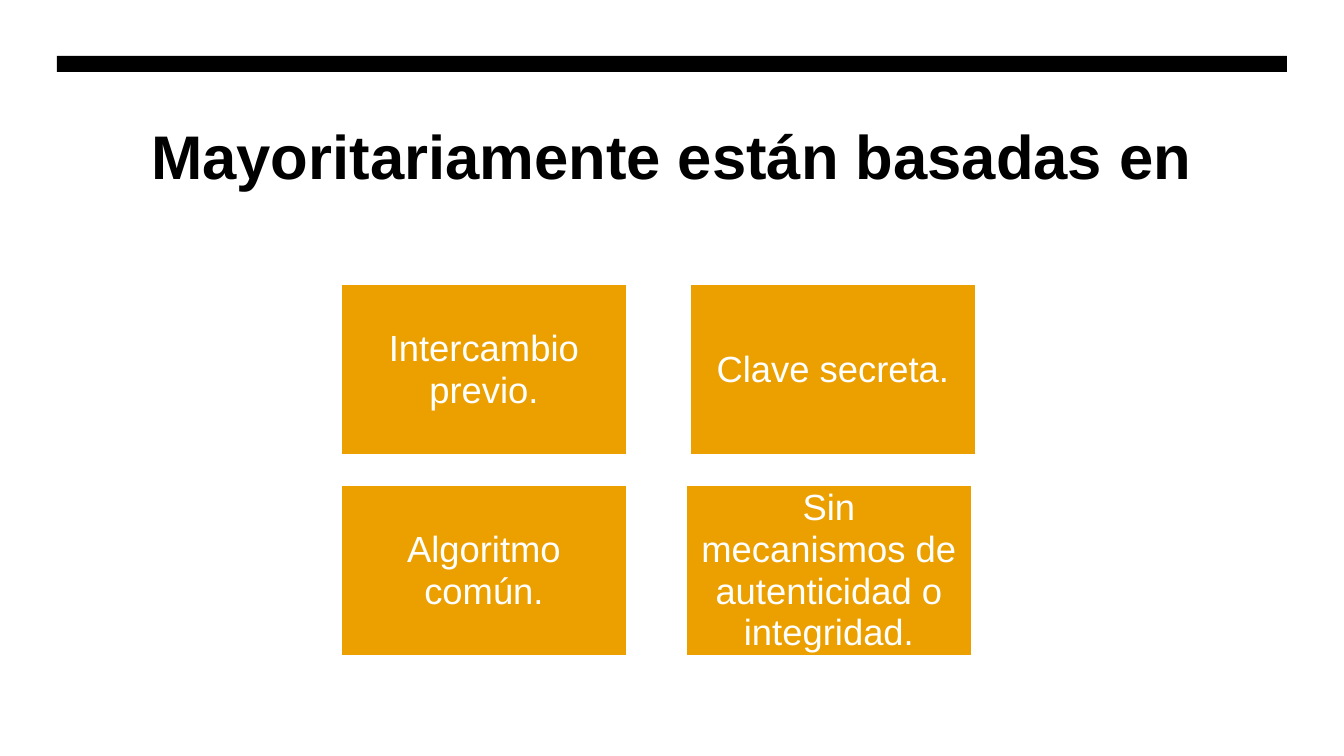
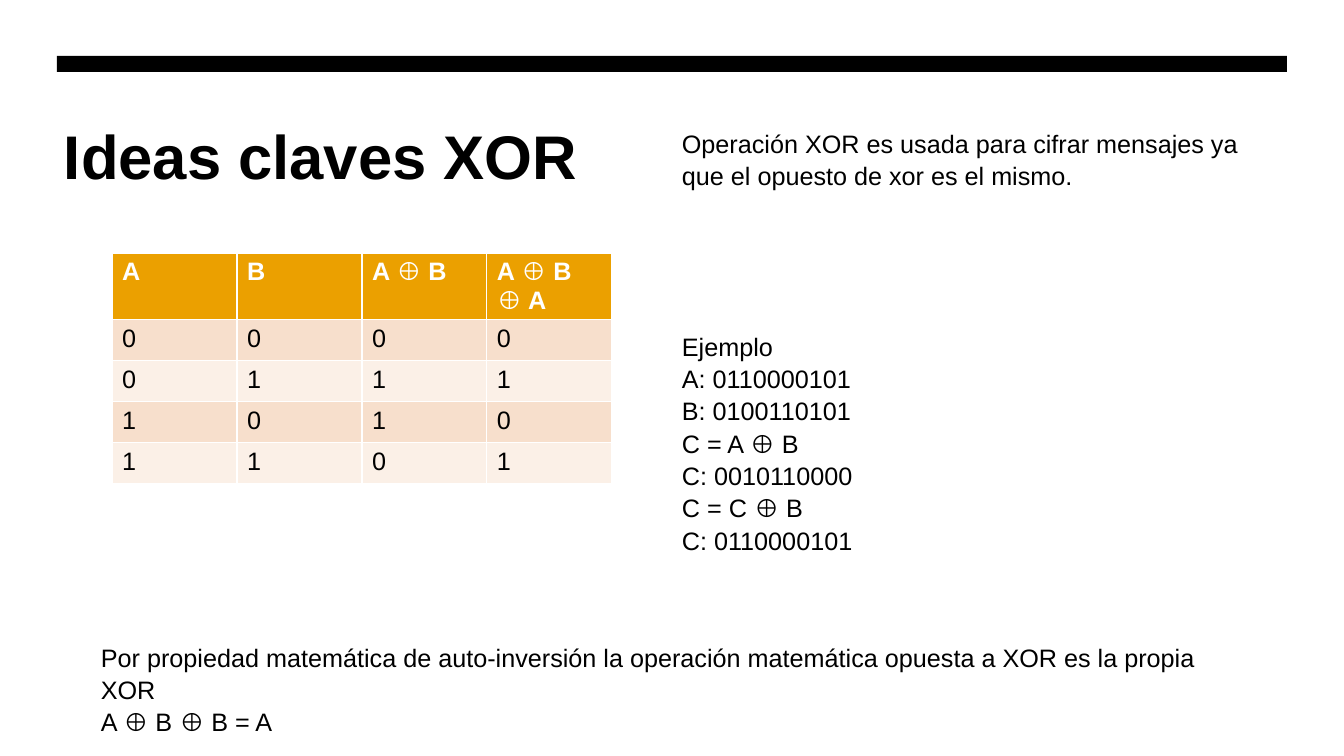
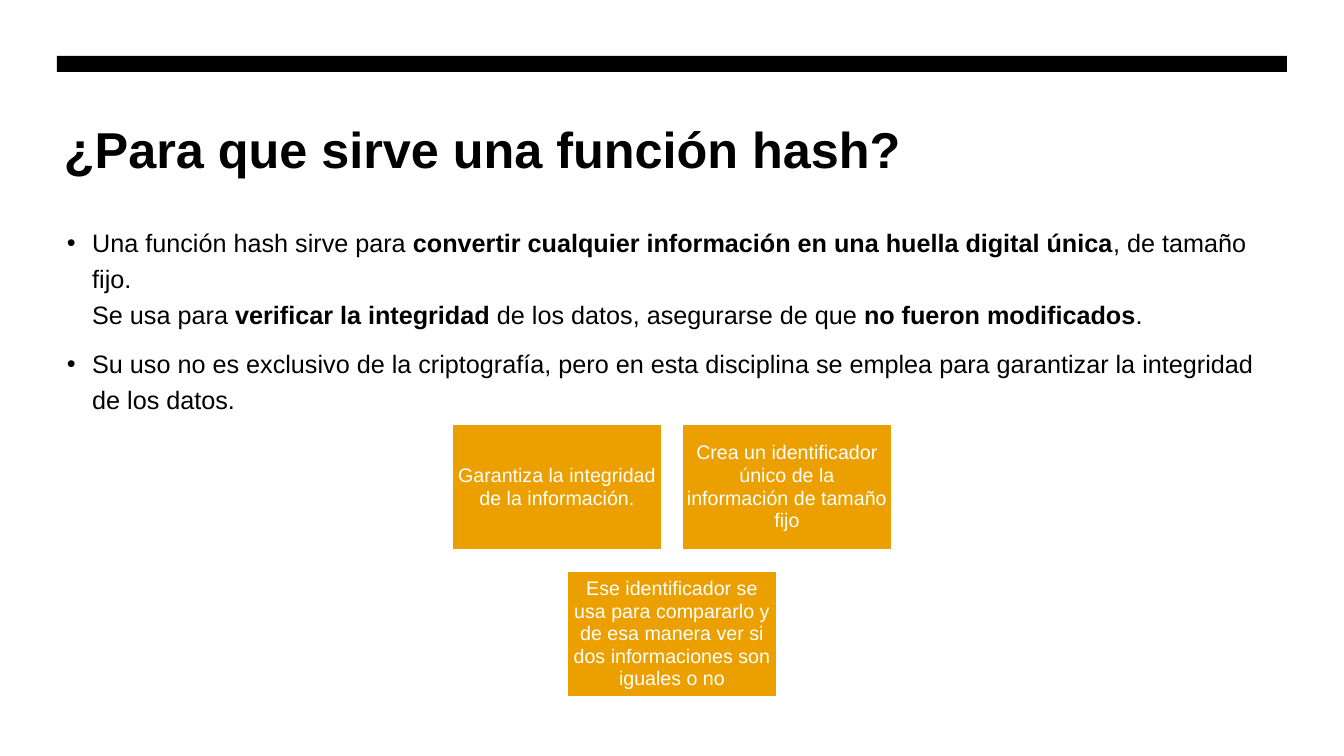
"""Build three slides on symmetric ciphers, XOR and hash functions."""
from pptx import Presentation, util as u
from pptx.dml.color import RGBColor
from pptx.enum import shapes, text

PX = 914400 / 100.8
FONT = "Arial"
BLACK, WHITE, AMBER = "000000", "FFFFFF", "EBA000"
BANDS = ("F7DFCC", "FBF0E7")


def px(*lengths):
    return [u.Emu(round(length * PX)) for length in lengths]


def style(paragraph, size, colour=BLACK, bold=None, spacing=None, align=None):
    paragraph.font.name = FONT
    paragraph.font.size = u.Pt(size)
    paragraph.font.color.rgb = RGBColor.from_string(colour)
    paragraph.font.bold = bold
    paragraph.line_spacing = spacing
    paragraph.alignment = align


presentation = Presentation()
presentation.slide_width, presentation.slide_height = px(1344, 756)
master = presentation.slide_master

for placeholder, top, height in zip(master.placeholders, (108, 217), (161, 415)):
    placeholder.left, placeholder.top, placeholder.width, placeholder.height = px(57, top, 1230, height)
    frame = placeholder.text_frame
    frame.vertical_anchor = text.MSO_ANCHOR.TOP
    frame.auto_size = text.MSO_AUTO_SIZE.NONE
    frame.margin_left, frame.margin_right = px(10, 10)
title_frame = master.placeholders[0].text_frame
title_frame.margin_left, title_frame.margin_top, title_frame.margin_right = px(7, 10, 7)

titles = [
    ("Mayoritariamente están basadas en", 44, text.PP_ALIGN.CENTER, 5),
    ("Ideas claves XOR", 44, text.PP_ALIGN.LEFT, 5),
    ("¿Para que sirve una función hash?", 36, text.PP_ALIGN.LEFT, 1),
]
slides = []
for title, size, align, layout in titles:
    slide = presentation.slides.add_slide(presentation.slide_layouts[layout])
    slide.shapes.title.text = title
    style(slide.shapes.title.text_frame.paragraphs[0], size, bold=True, align=align)
    slides.append(slide)
basis_slide, xor_slide, hash_slide = slides

bar = basis_slide.shapes.add_shape(shapes.MSO_SHAPE.RECTANGLE, *px(57, 56, 1230, 16))
bar.shadow.inherit = False
bar.fill.solid()
bar.fill.fore_color.rgb = RGBColor.from_string(BLACK)
bar.line.fill.background()
master.shapes._spTree.append(bar._element)

box_groups = [
    (basis_slide, 286, 171, 26, 11, [
        (341, 284, "Intercambio previo."),
        (690, 284, "Clave secreta."),
        (341, 485, "Algoritmo común."),
        (686, 485, "Sin mecanismos de autenticidad o integridad."),
    ]),
    (hash_slide, 210, 126, 14, 5, [
        (452, 424, "Garantiza la integridad de la información."),
        (682, 424, "Crea un identificador único de la información de tamaño fijo"),
        (567, 571, "Ese identificador se usa para compararlo y de esa manera ver si "
                   "dos informaciones son iguales o no"),
    ]),
]
for slide, width, height, size, inset, boxes in box_groups:
    for left, top, label in boxes:
        box = slide.shapes.add_shape(shapes.MSO_SHAPE.RECTANGLE, *px(left, top, width, height))
        box.shadow.inherit = False
        box.fill.solid()
        box.fill.fore_color.rgb = RGBColor.from_string(AMBER)
        box.line.color.rgb = RGBColor.from_string(WHITE)
        box.line.width = u.Pt(1.5)
        frame = box.text_frame
        frame.text = label
        frame.word_wrap = True
        frame.vertical_anchor = text.MSO_ANCHOR.MIDDLE
        frame.margin_left, frame.margin_top, frame.margin_right, frame.margin_bottom = px(*[inset] * 4)
        style(frame.paragraphs[0], size, WHITE, spacing=0.96, align=text.PP_ALIGN.CENTER)

truth_rows = [("A", "B", "A ⊕ B", "A ⊕ B ⊕ A"), "0000", "0111", "1010", "1101"]
table = xor_slide.shapes.add_table(5, 4, *px(112, 253, 500, 230)).table
for column in table.columns:
    column.width = px(125)[0]
for row_index, values in enumerate(truth_rows):
    header = row_index == 0
    table.rows[row_index].height = px(66 if header else 41)[0]
    for column_index, value in enumerate(values):
        cell = table.cell(row_index, column_index)
        cell.text = value
        cell.fill.solid()
        cell.fill.fore_color.rgb = RGBColor.from_string(AMBER if header else BANDS[(row_index - 1) % 2])
        style(cell.text_frame.paragraphs[0], 18, WHITE if header else BLACK, bold=header)

notes = [
    (672, 324, 460, 224, ["Ejemplo", "A: 0110000101", "B: 0100110101", "C = A ⊕ B",
                          "C: 0010110000", "C = C ⊕ B", "C: 0110000101"]),
    (672, 121, 615, 72, ["Operación XOR es usada para cifrar mensajes ya que el opuesto de xor es el mismo."]),
    (91, 635, 1145, 72, ["Por propiedad matemática de auto-inversión la operación matemática opuesta "
                         "a XOR es la propia XOR", "A ⊕ B ⊕ B = A"]),
]
for left, top, width, height, lines in notes:
    frame = xor_slide.shapes.add_textbox(*px(left, top, width, height)).text_frame
    frame.word_wrap = True
    frame.text = "\n".join(lines)
    for paragraph in frame.paragraphs:
        style(paragraph, 18, spacing=1.07)

bullets = [
    [("Una función hash sirve para ", False),
     ("convertir cualquier información en una huella digital única", True),
     (", de tamaño fijo.", False),
     ("\n", False),
     ("Se usa para ", False),
     ("verificar la integridad", True),
     (" de los datos, asegurarse de que ", False),
     ("no fueron modificados", True),
     (".", False)],
    [("Su uso no es exclusivo de la criptografía, pero en esta disciplina se emplea "
      "para garantizar la integridad de los datos.", False)],
]
body = hash_slide.placeholders[1].text_frame
body.text = "\n" * (len(bullets) - 1)
for paragraph, parts in zip(body.paragraphs, bullets):
    style(paragraph, 18, spacing=1.18)
    paragraph.space_before = u.Pt(10)
    properties = paragraph._p.get_or_add_pPr()
    properties.set("marL", "228600")
    properties.set("indent", "-228600")
    for words, bold in parts:
        if words == "\n":
            paragraph.add_line_break()
        else:
            run = paragraph.add_run()
            run.text = words
            run.font.bold = bold

presentation.save("out.pptx")
